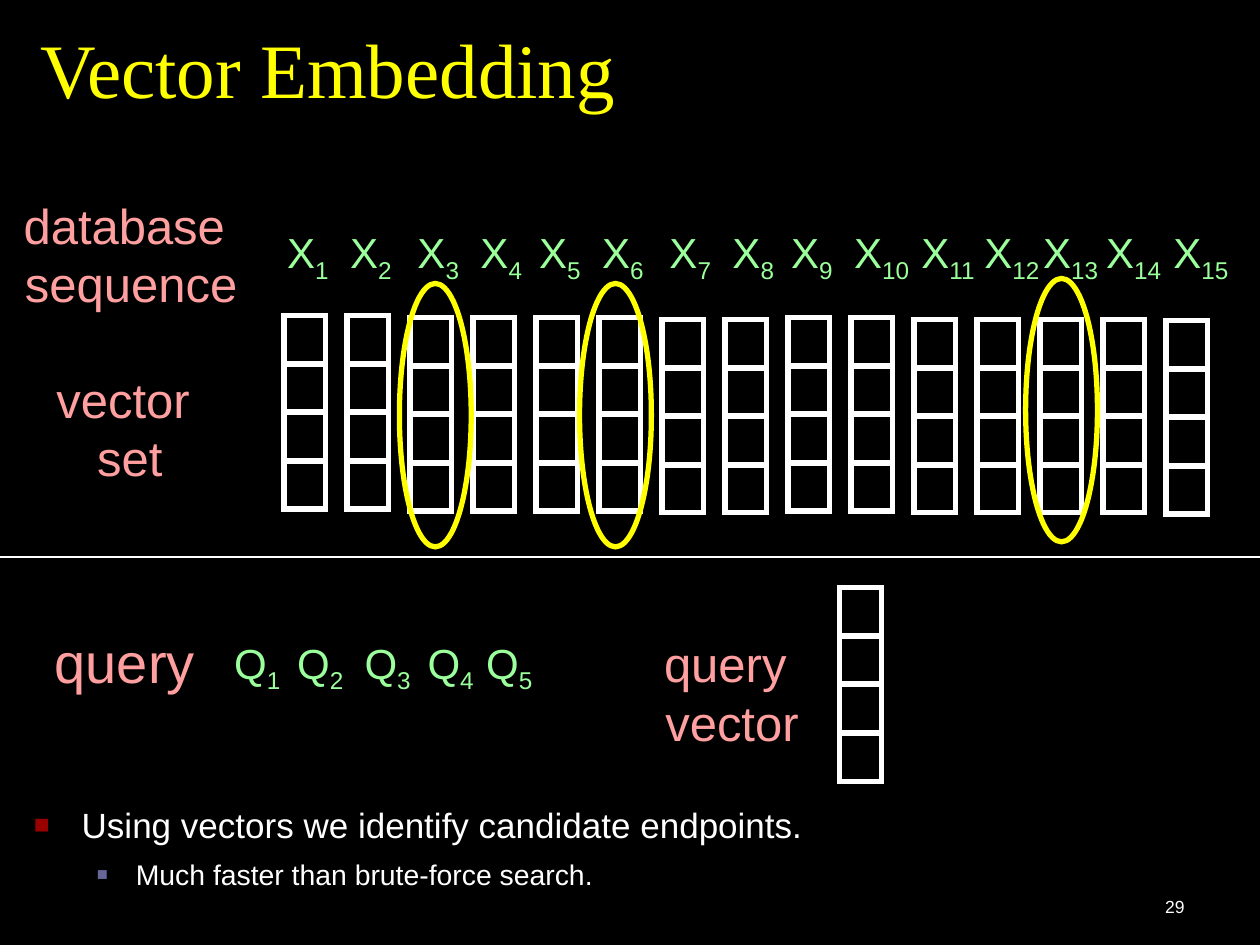
from lxml.etree import SubElement
from pptx import Presentation
from pptx.dml.color import RGBColor
from pptx.enum.shapes import MSO_CONNECTOR as Connector, MSO_SHAPE as Shape
from pptx.enum.text import MSO_ANCHOR as Anchor, MSO_AUTO_SIZE as AutoSize, PP_ALIGN as Align
from pptx.oxml.ns import qn
from pptx.util import Inches, Pt

COLUMNS, ROWS = 20, 15
UNIT = Inches(0.5)
BLACK, WHITE, YELLOW = "000000", "FFFFFF", "FFFF00"
PINK, GREEN = "FF9F9F", "9BFF9B"
RED, SLATE = "990000", "666699"


def color(value):
    return RGBColor.from_string(value)


def grid(*lengths):
    """Turn lengths in grid columns or rows into slide lengths."""
    return [round(length * UNIT) for length in lengths]


class Board:
    """Draws on one slide, with every length given in half-inch grid units."""

    font_name = "Arial"
    cell_width, cell_height, cell_pitch = 0.66, 0.76, 0.77

    def __init__(self, slide):
        self.slide = slide
        self.shapes = slide.shapes
        background = slide.background.fill
        background.solid()
        background.fore_color.rgb = color(BLACK)

    def style(self, paragraph, size, font_color, name=None):
        font = paragraph.font
        font.name = name or self.font_name
        font.size = Pt(size)
        font.color.rgb = color(font_color)

    def frame(self, box, fit=False, anchor=Anchor.TOP):
        frame = self.shapes.add_textbox(*grid(*box)).text_frame
        frame.word_wrap = not fit
        frame.auto_size = AutoSize.SHAPE_TO_FIT_TEXT if fit else AutoSize.NONE
        frame.vertical_anchor = anchor
        return frame

    def text(self, box, text, size, font_color, align=Align.LEFT, fit=False,
             anchor=Anchor.TOP, name=None):
        paragraph = self.frame(box, fit, anchor).paragraphs[0]
        paragraph.text = text
        paragraph.alignment = align
        self.style(paragraph, size, font_color, name)
        return paragraph

    def label(self, box, text, size=28):
        self.text(box, text, size, PINK, Align.CENTER, fit=True)

    def symbols(self, letter, count, left, top, width):
        """Row of subscripted letters; the second pair of every four sits a little right."""
        for index in range(count):
            number = str(index + 1)
            nudge = 0.07 if index % 4 >= 2 else 0
            box_width = width + 0.22 * (len(number) - 1)
            box = (left + index + nudge, top, box_width, 1.12)
            paragraph = self.text(box, letter, 24, GREEN, fit=True)
            subscript = paragraph.add_run()
            subscript.text = number
            subscript.font._element.set("baseline", "-25000")

    def outline(self, shapes, kind, box, line_color):
        shape = shapes.add_shape(kind, *grid(*box))
        shape.shadow.inherit = False
        shape.fill.background()
        shape.line.color.rgb = color(line_color)
        shape.line.width = Pt(3)
        SubElement(shape._element.spPr.find(qn("a:ln")), qn("a:miter"), lim="800000")

    def vector(self, left, top, cells=4):
        group = self.shapes.add_group_shape()
        for index in range(cells):
            box = (left, top + index * self.cell_pitch, self.cell_width, self.cell_height)
            self.outline(group.shapes, Shape.RECTANGLE, box, WHITE)

    def highlight(self, left, top):
        self.outline(self.shapes, Shape.OVAL, (left, top, 1.14, 4.18), YELLOW)

    def divider(self, row):
        line = self.shapes.add_connector(Connector.STRAIGHT, *grid(0, row, COLUMNS, row))
        line.line.color.rgb = color(WHITE)
        line.line.width = Pt(1.5)
        SubElement(line._element.spPr, qn("a:effectLst"))

    def bullets(self, box, items):
        frame = self.frame(box)
        for index, (text, size, level, margin, hanging, bullet_color, percent) in enumerate(items):
            paragraph = frame.paragraphs[0] if index == 0 else frame.add_paragraph()
            paragraph.text = text
            paragraph.level = level
            if index:
                paragraph.space_before = Pt(6.5)
            properties = paragraph._p.get_or_add_pPr()
            properties.set("marL", str(Inches(margin)))
            properties.set("indent", str(-Inches(hanging)))
            tint = SubElement(properties, qn("a:buClr"))
            SubElement(tint, qn("a:srgbClr"), val=bullet_color)
            SubElement(properties, qn("a:buSzPct"), val=str(percent * 1000))
            SubElement(properties, qn("a:buFont"), typeface=self.font_name)
            SubElement(properties, qn("a:buChar"), char="■")
            self.style(paragraph, size, WHITE)


def main():
    presentation = Presentation()
    presentation.slide_width, presentation.slide_height = grid(COLUMNS, ROWS)
    board = Board(presentation.slides.add_slide(presentation.slide_layouts[6]))

    title = board.text((0.44, 0.34, 19.56, 1.56), "Vector Embedding", 44, YELLOW,
                       anchor=Anchor.BOTTOM, name="Times New Roman")
    title.line_spacing = 0.8

    board.label((0.13, 3, 3.9, 2.08), "database \vsequence")
    board.label((0.65, 5.76, 2.82, 2.08), "vector \vset")
    board.label((0.63, 9.86, 2.7, 1.28), "query", 32)
    board.label((10.29, 9.96, 2.66, 2.08), "query \vvector")

    vector_drops = [0] * 2 + [0.03] * 4 + [0.06] * 2 + [0.03] * 2 + [0.06] * 4 + [0.08]
    for index, drop in enumerate(vector_drops):
        board.vector(4.51 + index, 5.01 + drop)
    board.vector(13.33, 9.33)

    board.symbols("X", len(vector_drops), 4.36, 3.5, 1.1)
    board.symbols("Q", 5, 3.52, 10.02, 1.18)

    board.divider(8.84)
    for left, top in ((16.28, 4.42), (6.34, 4.5), (9.2, 4.5)):
        board.highlight(left, top)

    board.bullets((0.34, 12.66, 19.48, 1.66), [
        ("Using vectors we identify candidate endpoints.", 20, 0, 0.38, 0.38, RED, 75),
        ("Much faster than brute-force search.", 16.2, 1, 0.81, 0.31, SLATE, 65),
    ])
    board.text((14.84, 13.66, 4.16, 1), "29", 10, WHITE, Align.RIGHT, anchor=Anchor.BOTTOM)

    presentation.save("out.pptx")


if __name__ == "__main__":
    main()
